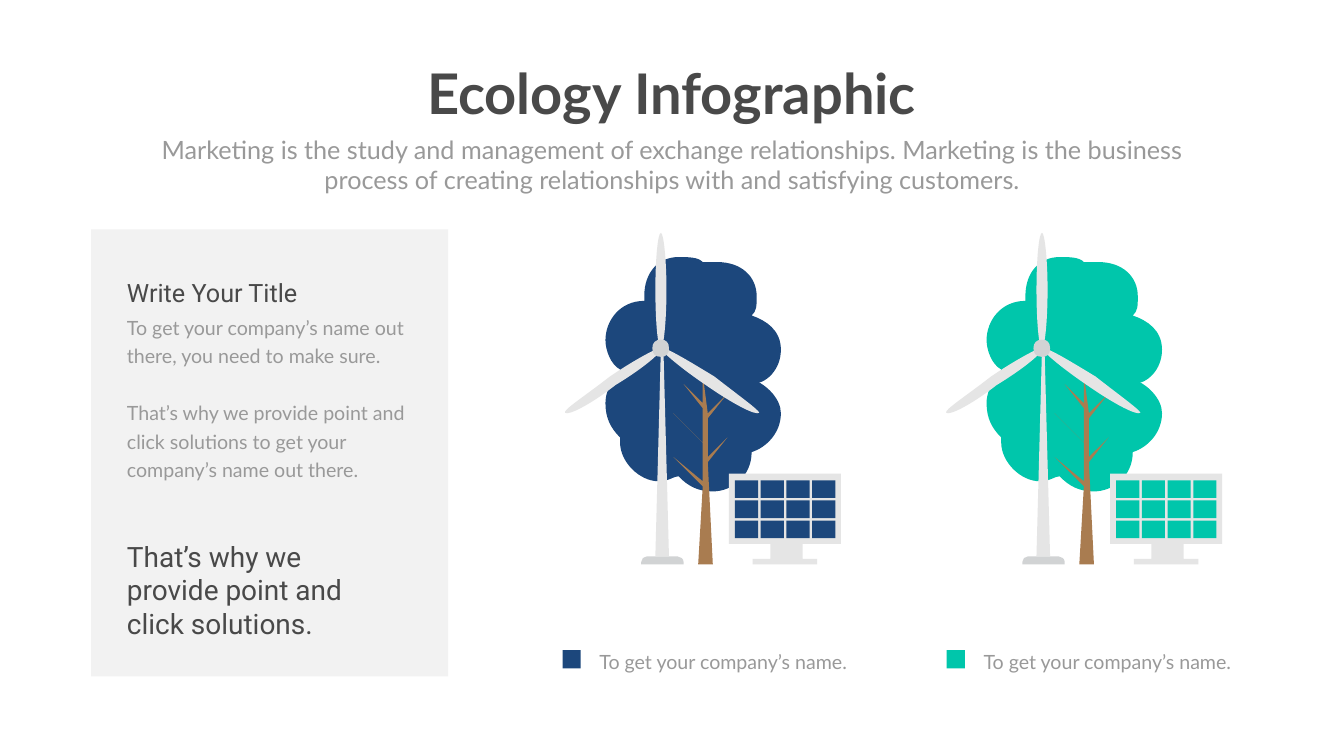
from dataclasses import dataclass

from lxml import etree
from pptx import Presentation
from pptx import util as u
from pptx.dml.color import RGBColor
from pptx.enum import shapes, text
from pptx.oxml.ns import qn


@dataclass(frozen=True)
class Theme:
    heading_font: str = "Roboto"
    body_font: str = "Lato"
    dark: str = "494949"
    grey: str = "999999"
    panel: str = "808080"
    navy: str = "1C477C"
    teal: str = "00C6AB"
    wood: str = "A97C50"
    light: str = "E5E5E5"
    metal: str = "D1D3D4"
    title: int = 80
    quote: int = 40
    subtitle: int = 36
    body: int = 28
    line: float = 40.8


THEME = Theme()
DRAWING_GAP = 7.56
LEGEND_GAP = 7.62

# Outlines in inches: a pair is a straight line, six numbers are a Bezier curve.
LOWER_CROWN = [
    (14.91, 7.52), (15.01, 7.42, 15.01, 7.33, 15.01, 7.23),
    (15.01, 6.75, 14.71, 6.46, 14.23, 6.46), (14.14, 6.46, 14.04, 6.46, 13.94, 6.55),
    (13.85, 6.46, 13.65, 6.36, 13.46, 6.36), (13.07, 6.36, 12.78, 6.75, 12.78, 7.13),
    (12.78, 7.23), (12.3, 7.33, 12.01, 7.62, 12.01, 8),
    (12.01, 8.29, 12.11, 8.49, 12.3, 8.68), (12.3, 8.78),
    (12.3, 9.16, 12.68, 9.55, 13.07, 9.55), (13.27, 9.55, 13.36, 9.45, 13.46, 9.45),
    (13.65, 9.65, 13.85, 9.75, 14.14, 9.75), (14.52, 9.75, 14.91, 9.45, 14.91, 8.97),
    (15.2, 8.88, 15.49, 8.59, 15.49, 8.2), (15.49, 7.91, 15.2, 7.62, 14.91, 7.52),
]
UPPER_CROWN = [
    (14.91, 6.26), (15.01, 6.17, 15.01, 6.07, 15.01, 5.88),
    (15.01, 5.49, 14.71, 5.2, 14.23, 5.2), (13.94, 5.2),
    (13.85, 5.1, 13.65, 5.1, 13.46, 5.1), (13.07, 5.1, 12.78, 5.39, 12.78, 5.88),
    (12.78, 5.97), (12.3, 5.97, 12.01, 6.36, 12.01, 6.75),
    (12.01, 6.94, 12.11, 7.23, 12.3, 7.33), (12.3, 7.52),
    (12.3, 7.91, 12.68, 8.29, 13.07, 8.29), (13.27, 8.29, 13.36, 8.2, 13.46, 8.1),
    (13.65, 8.29, 13.85, 8.49, 14.14, 8.49), (14.52, 8.49, 14.91, 8.1, 14.91, 7.72),
    (14.91, 7.62), (15.2, 7.62, 15.49, 7.33, 15.49, 6.94),
    (15.49, 6.55, 15.2, 6.36, 14.91, 6.26),
]
TRUNK = [
    (14.43, 8.68), (14.04, 9.07), (14.04, 8.3), (14.43, 7.81), (14.04, 8.2),
    (13.94, 7.43), (13.94, 8), (13.56, 7.62), (13.94, 8.1), (13.94, 8.78),
    (13.36, 8.2), (13.94, 8.78), (13.94, 9.55), (13.36, 9.07), (13.94, 9.65),
    (13.85, 11.2), (14.14, 11.2), (14.04, 9.17),
]
FOOT = [
    (13.44, 11.04), (12.83, 11.04), (12.77, 11.04, 12.72, 11.09, 12.72, 11.15),
    (12.72, 11.2), (13.56, 11.2), (13.56, 11.15),
    (13.56, 11.09, 13.5, 11.04, 13.44, 11.04),
]
MAST = [(13.27, 11.04), (13, 11.04), (13.11, 6.91), (13.16, 6.91)]
TOP_BLADE = [
    (13.22, 5.74), (13.22, 6.41, 13.16, 6.91, 13.11, 6.91),
    (13.05, 6.91, 13, 6.41, 13, 5.74), (13, 5.13, 13.05, 4.62, 13.11, 4.62),
    (13.16, 4.62, 13.22, 5.13, 13.22, 5.74),
]
LEFT_BLADE = [
    (12.21, 7.64), (11.71, 8.03, 11.27, 8.25, 11.21, 8.19),
    (11.16, 8.14, 11.6, 7.86, 12.1, 7.47), (12.6, 7.13, 13.11, 6.86, 13.11, 6.91),
    (13.16, 6.97, 12.77, 7.3, 12.21, 7.64),
]
RIGHT_BLADE = [
    (14, 7.64), (14.56, 8.03, 15, 8.25, 15.06, 8.19),
    (15.06, 8.14, 14.67, 7.86, 14.17, 7.47), (13.61, 7.13, 13.16, 6.86, 13.11, 6.91),
    (13.11, 6.97, 13.5, 7.3, 14, 7.64),
]
HUB = [
    (13.27, 6.91), (13.27, 7.02, 13.22, 7.08, 13.11, 7.08),
    (13, 7.08, 12.94, 7.02, 12.94, 6.91), (12.94, 6.8, 13, 6.74, 13.11, 6.74),
    (13.22, 6.74, 13.27, 6.8, 13.27, 6.91),
]
SOLAR_FRAME = [
    (16.68, 10.79), (16.68, 9.4), (14.46, 9.4), (14.46, 10.79), (15.28, 10.79),
    (15.28, 11.09), (14.93, 11.09), (14.93, 11.2), (16.21, 11.2), (16.21, 11.09),
    (15.92, 11.09), (15.92, 10.79),
]


class Slide:
    def __init__(self, page, theme):
        self.page = page
        self.theme = theme

    def paint(self, shape, color, opacity=None):
        shape.shadow.inherit = False
        shape.fill.solid()
        shape.fill.fore_color.rgb = RGBColor.from_string(color)
        shape.line.fill.background()
        if opacity is not None:
            fill = shape._element.spPr.find(qn("a:solidFill"))
            etree.SubElement(fill[0], qn("a:alpha"), val=str(opacity * 1000))

    def rectangle(self, left, top, width, height, color, opacity=None):
        shape = self.page.shapes.add_shape(
            shapes.MSO_SHAPE.RECTANGLE, *map(u.Inches, (left, top, width, height)))
        self.paint(shape, color, opacity)

    def outline(self, segments, color, shift=0):
        """Draw through all points, then join each curve's three lines into one Bezier."""
        points = [(u.Inches(x + shift), u.Inches(y))
                  for segment in segments for x, y in zip(segment[::2], segment[1::2])]
        builder = self.page.shapes.build_freeform(*points[0])
        builder.add_line_segments(points[1:], close=True)
        shape = builder.convert_to_shape()
        self.paint(shape, color)
        track = shape._element.spPr.find(".//" + qn("a:path"))
        lines = iter(track.findall(qn("a:lnTo")))
        for segment in segments[1:]:
            curve = next(lines)
            if len(segment) == 6:
                curve.tag = qn("a:cubicBezTo")
                for line in (next(lines), next(lines)):
                    curve.append(line[0])
                    track.remove(line)

    def text(self, left, top, width, height, paragraphs, size, font, color,
             bold=False, line=None, center=False, wrap=True, insets=None):
        box = self.page.shapes.add_textbox(*map(u.Inches, (left, top, width, height)))
        frame = box.text_frame
        frame.word_wrap = wrap
        frame.auto_size = text.MSO_AUTO_SIZE.SHAPE_TO_FIT_TEXT
        if insets:
            frame.margin_left = frame.margin_right = u.Inches(insets[0])
            frame.margin_top = frame.margin_bottom = u.Inches(insets[1])
        for index, words in enumerate(paragraphs):
            para = frame.add_paragraph() if index else frame.paragraphs[0]
            if center:
                para.alignment = text.PP_ALIGN.CENTER
            if line:
                para.line_spacing = u.Pt(line)
                if index:
                    para.space_before = u.Pt(line)
            span = para.add_run()
            span.text = words
            span.font.size = u.Pt(size)
            span.font.name = font
            span.font.bold = bold
            span.font.color.rgb = RGBColor.from_string(color)

    def legend(self, color, shift):
        theme = self.theme
        self.text(11.65 + shift, 12.67, 5.79, 0.75, ["To get your company’s name."],
                  theme.body, theme.body_font, theme.grey, line=theme.line,
                  insets=(0.24, 0.12))
        self.rectangle(11.16 + shift, 12.9, 0.36, 0.36, color)

    def energy_drawing(self, color, shift):
        """Draw a tree, a wind turbine and a solar panel."""
        theme = self.theme
        for segments, fill in (
                (LOWER_CROWN, color), (UPPER_CROWN, color), (TRUNK, theme.wood),
                (FOOT, theme.metal), (MAST, theme.light), (TOP_BLADE, theme.light),
                (LEFT_BLADE, theme.light), (RIGHT_BLADE, theme.light),
                (HUB, theme.metal), (SOLAR_FRAME, theme.light)):
            self.outline(segments, fill, shift)
        for column in range(4):
            for row in range(3):
                self.rectangle(14.58 + shift + 0.51 * column, 9.53 + 0.4 * row,
                               0.46, 0.35, color)


def main():
    deck = Presentation()
    deck.slide_width, deck.slide_height = u.Inches(26.66), u.Inches(15)
    slide = Slide(deck.slides.add_slide(deck.slide_layouts[6]), THEME)

    slide.rectangle(1.81, 4.55, 7.08, 8.87, THEME.panel, opacity=10)
    slide.text(2.42, 6.11, 5.72, 3.49,
               ["To get your company’s name out there, you need to make sure.",
                "That’s why we provide point and click solutions to get your "
                "company’s name out there."],
               THEME.body, THEME.body_font, THEME.grey, line=THEME.line)
    slide.text(2.42, 5.46, 5.72, 0.71, ["Write Your Title"],
               THEME.subtitle, THEME.heading_font, THEME.dark)
    slide.text(2.42, 10.65, 5.31, 2.12,
               ["That’s why we provide point and click solutions."],
               THEME.quote, THEME.heading_font, THEME.dark)

    for index, color in enumerate((THEME.navy, THEME.teal)):
        slide.legend(color, index * LEGEND_GAP)
        slide.energy_drawing(color, index * DRAWING_GAP)

    slide.text(8.27, 1.12, 10.11, 1.45, ["Ecology Infographic"], THEME.title,
               THEME.body_font, THEME.dark, bold=True, center=True, wrap=False)
    slide.text(2.92, 2.61, 20.82, 1.31,
               ["Marketing is the study and management of exchange relationships. "
                "Marketing is the business process of creating relationships with "
                "and satisfying customers."],
               THEME.subtitle, THEME.body_font, THEME.grey, center=True)
    deck.save("out.pptx")


if __name__ == "__main__":
    main()
